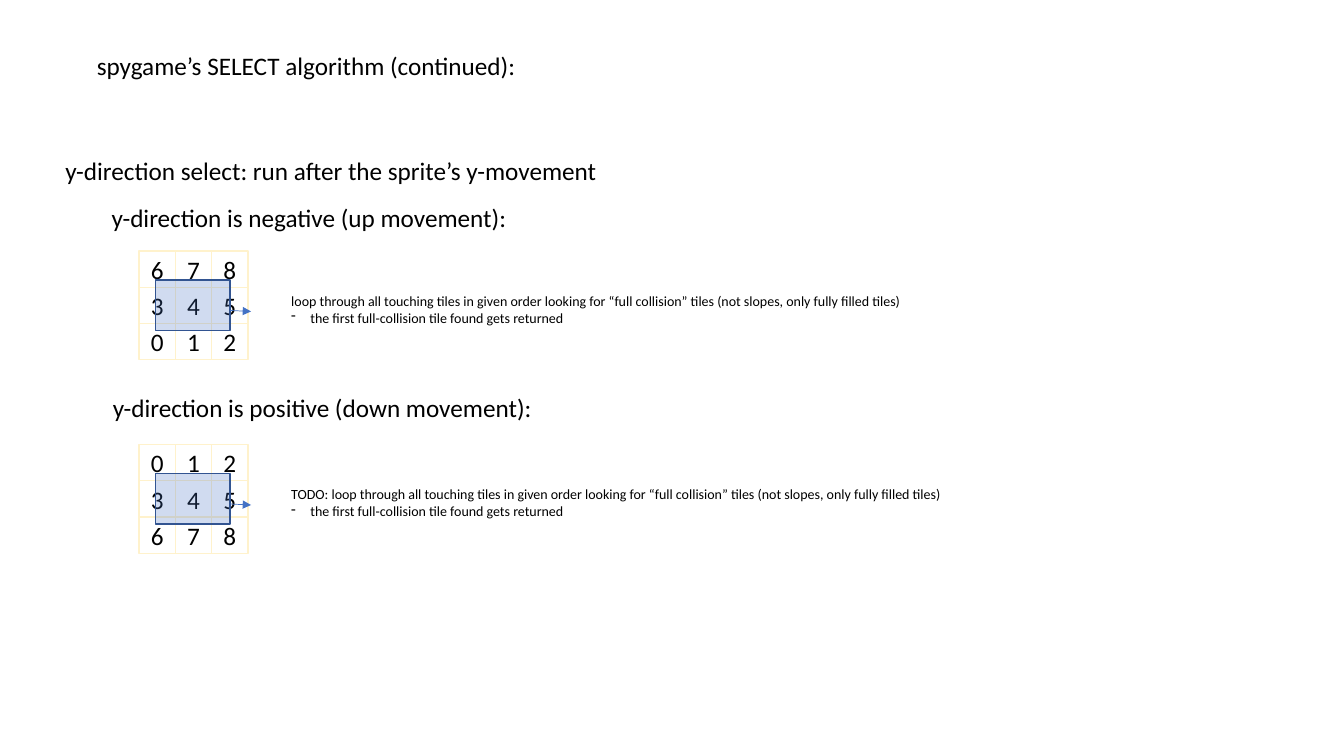
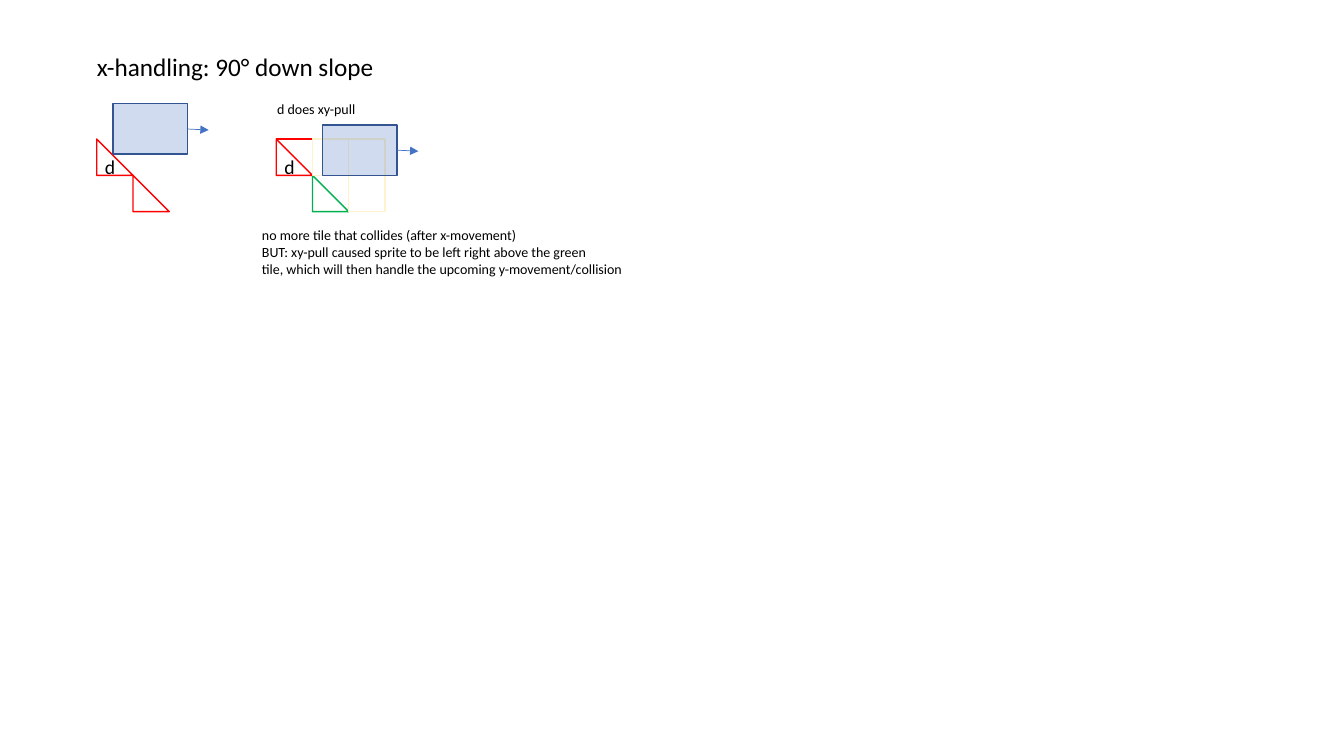
from lxml import etree
from pptx import Presentation
from pptx.dml.color import RGBColor
from pptx.enum.shapes import MSO_CONNECTOR, MSO_SHAPE
from pptx.enum.text import MSO_ANCHOR, MSO_AUTO_SIZE, PP_ALIGN
from pptx.oxml.ns import qn
from pptx.util import Inches, Pt

RECTANGLE, TRIANGLE = MSO_SHAPE.RECTANGLE, MSO_SHAPE.ISOSCELES_TRIANGLE
STRAIGHT = MSO_CONNECTOR.STRAIGHT
LEFT, CENTER = PP_ALIGN.LEFT, PP_ALIGN.CENTER
TOP, MIDDLE = MSO_ANCHOR.TOP, MSO_ANCHOR.MIDDLE
FIT_SHAPE = MSO_AUTO_SIZE.SHAPE_TO_FIT_TEXT

BLACK = RGBColor(0x00, 0x00, 0x00)
BLUE = RGBColor(0x44, 0x72, 0xC4)
NAVY = RGBColor(0x32, 0x54, 0x91)
CREAM = RGBColor(0xFF, 0xF2, 0xCC)
RED = RGBColor(0xFF, 0x00, 0x00)
GREEN = RGBColor(0x00, 0xB0, 0x50)

FONT = "Calibri"
HEADING, LABEL, NOTE = 18, 14, 10
TILE = 0.36
SPRITE_WIDTH, SPRITE_HEIGHT = 0.74, 0.5
ARROW_LENGTH = 0.21
HANG = 0.19

# Slide 1
SELECT_TITLE = ("spygame’s SELECT algorithm (continued):", (0.86, 0.45, 4.4, 0.4))
SELECT_HEADING = ("y-direction select: run after the sprite’s y-movement",
                  (0.55, 1.49, 5.55, 0.4))
LOOP = ("loop through all touching tiles in given order looking for "
        "“full collision” tiles (not slopes, only fully filled tiles)")
RETURNED = "the first full-collision tile found gets returned"
DIRECTIONS = [
    {"heading": "y-direction is negative (up movement):", "heading_at": (1.01, 1.96, 4.17, 0.4),
     "rows": ("678", "345", "012"), "origin": (1.38, 2.49),
     "note": LOOP, "note_width": 6.31},
    {"heading": "y-direction is positive (down movement):", "heading_at": (1.02, 3.84, 4.42, 0.4),
     "rows": ("012", "345", "678"), "origin": (1.38, 4.41),
     "note": "TODO: " + LOOP, "note_width": 6.72},
]

# Slide 2: tiles are (column, row, outline, text)
SLOPE_TITLE = ("x-handling: 90° down slope", (0.86, 0.46, 2.99, 0.4))
BEFORE_ORIGIN, AFTER_ORIGIN = (0.96, 1.38), (2.74, 1.38)
BEFORE_SLOPES = [(1, 1, RED, ""), (0, 0, RED, "d")]
AFTER_SLOPES = [(1, 1, GREEN, ""), (0, 0, RED, "d")]
TILE_BEHIND = [(1, 1, CREAM, "")]
TILES_ABOVE = [(0, 0, RED, ""), (1, 0, CREAM, ""), (2, 0, CREAM, ""), (2, 1, CREAM, "")]
BEFORE_SPRITE, AFTER_SPRITE = (1.12, 1.03), (3.2, 1.24)
PULL_NOTE = ("d does xy-pull", (2.65, 0.95, 0.99, 0.27))
RESULT_NOTE = ([
    "no more tile that collides (after x-movement)",
    "BUT: xy-pull caused sprite to be left right above the green",
    "tile, which will then handle the upcoming y-movement/collision",
], (2.5, 2.2, 3.87, 0.61))


def inches(values):
    """Turn plain numbers into lengths."""
    return [Inches(value) for value in values]


def write(box, lines, size=HEADING, align=LEFT, anchor=TOP, wrap=False, dashed=()):
    """Fill a shape with formatted lines; the indexes in dashed get a dash bullet."""
    frame = box.text_frame
    frame.word_wrap = wrap
    frame.vertical_anchor = anchor
    if not wrap:
        frame.auto_size = FIT_SHAPE
    for index, line in enumerate([lines] if isinstance(lines, str) else lines):
        para = frame.add_paragraph() if index else frame.paragraphs[0]
        para.alignment = align
        span = para.add_run()
        span.text = line
        span.font.name, span.font.size = FONT, Pt(size)
        span.font.bold = False
        span.font.color.rgb = BLACK
        if index in dashed:
            layout = para._p.get_or_add_pPr()
            layout.set("marL", str(Inches(HANG)))
            layout.set("indent", str(-Inches(HANG)))
            etree.SubElement(layout, qn("a:buFontTx"))
            etree.SubElement(layout, qn("a:buChar"), char="-")


def add_text(page, lines, place, **style):
    """Add a text box at left, top, width, height."""
    write(page.shapes.add_textbox(*inches(place)), lines, **style)


def add_page(deck, title):
    """Add a slide with its title placeholder moved and formatted."""
    page = deck.slides.add_slide(deck.slide_layouts[5])
    text, place = title
    box = page.shapes.title
    box.left, box.top, box.width, box.height = inches(place)
    write(box, text)
    return page


def add_outline(shapes, kind, place, color):
    """Add an unfilled preset shape with a thin outline."""
    box = shapes.add_shape(kind, *inches(place))
    box.shadow.inherit = False
    box.fill.background()
    box.line.color.rgb = color
    box.line.width = Pt(1)
    return box


def add_tiles(shapes, origin, tiles, kind=RECTANGLE, size=HEADING):
    """Place square or sloped tiles on the grid that starts at origin."""
    left, top = origin
    for column, row, color, text in tiles:
        place = (left + column * TILE, top + row * TILE, TILE, TILE)
        box = add_outline(shapes, kind, place, color)
        if kind == TRIANGLE:
            box.adjustments[0] = 1
            box.element.spPr.find(qn("a:xfrm")).set("flipH", "1")
        if text:
            write(box, text, size=size, align=CENTER, anchor=MIDDLE, wrap=True)


def add_sprite(page, corner, arrow_drop=SPRITE_HEIGHT / 2):
    """Add the translucent sprite and the arrow that shows its movement."""
    left, top = corner
    group = page.shapes.add_group_shape()
    box = add_outline(group.shapes, RECTANGLE, (left, top, SPRITE_WIDTH, SPRITE_HEIGHT), NAVY)
    box.fill.solid()
    box.fill.fore_color.rgb = BLUE
    tint = box.element.spPr.find(qn("a:solidFill")).find(qn("a:srgbClr"))
    etree.SubElement(tint, qn("a:alpha"), val="25000")

    start, level = left + SPRITE_WIDTH, top + arrow_drop
    arrow = group.shapes.add_connector(
        STRAIGHT, *inches((start, level, start + ARROW_LENGTH, level + 0.01)))
    arrow.line.color.rgb = BLUE
    arrow.line.width = Pt(0.5)
    outline = arrow.element.spPr
    etree.SubElement(outline.find(qn("a:ln")), qn("a:tailEnd"), type="triangle")
    etree.SubElement(outline, qn("a:effectLst"))


def build_select(deck):
    """Build the slide on the order in which tiles are searched."""
    page = add_page(deck, SELECT_TITLE)
    add_text(page, *SELECT_HEADING)
    touched = [(column, 1, CREAM, "") for column in range(3)]
    for direction in DIRECTIONS:
        left, top = direction["origin"]
        numbered = [(column, row, CREAM, digit)
                    for row, digits in enumerate(direction["rows"])
                    for column, digit in enumerate(digits)]
        grid = page.shapes.add_group_shape()
        add_tiles(grid.shapes, (left, top), touched + numbered)
        add_sprite(page, (left + 0.16, top + 0.29), arrow_drop=0.3)
        add_text(page, [direction["note"], RETURNED],
                 (left + 1.41, top + TILE, direction["note_width"], 0.44),
                 size=NOTE, dashed=(1,))
        add_text(page, direction["heading"], direction["heading_at"])


def build_slope(deck):
    """Build the slide on walking down a slope."""
    page = add_page(deck, SLOPE_TITLE)
    add_tiles(page.shapes, AFTER_ORIGIN, TILE_BEHIND)
    for origin, slopes in ((BEFORE_ORIGIN, BEFORE_SLOPES), (AFTER_ORIGIN, AFTER_SLOPES)):
        group = page.shapes.add_group_shape()
        add_tiles(group.shapes, origin, slopes, kind=TRIANGLE, size=LABEL)
    add_tiles(page.shapes, AFTER_ORIGIN, TILES_ABOVE)
    for corner in (BEFORE_SPRITE, AFTER_SPRITE):
        add_sprite(page, corner)
    for note in (RESULT_NOTE, PULL_NOTE):
        add_text(page, *note, size=NOTE)


deck = Presentation()
deck.slide_width, deck.slide_height = inches((13.33, 7.5))
build_select(deck)
build_slope(deck)
deck.save("out.pptx")
